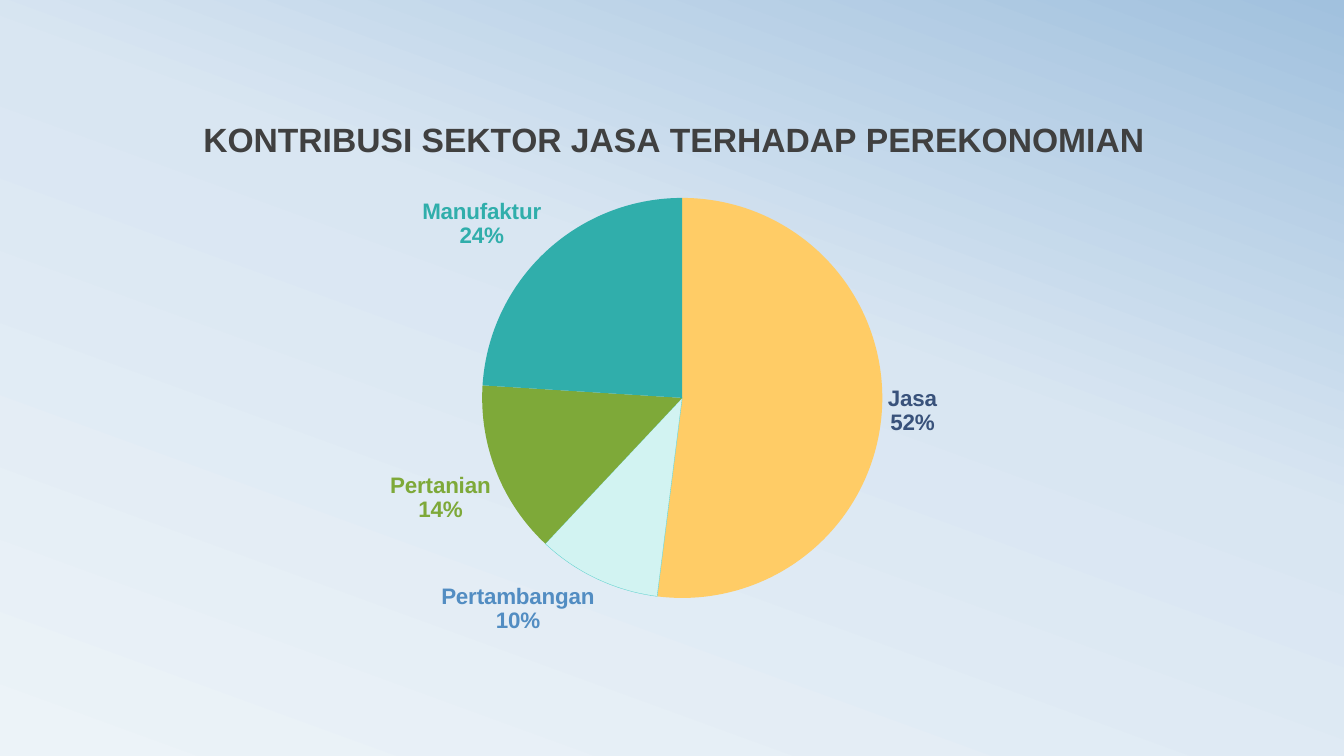
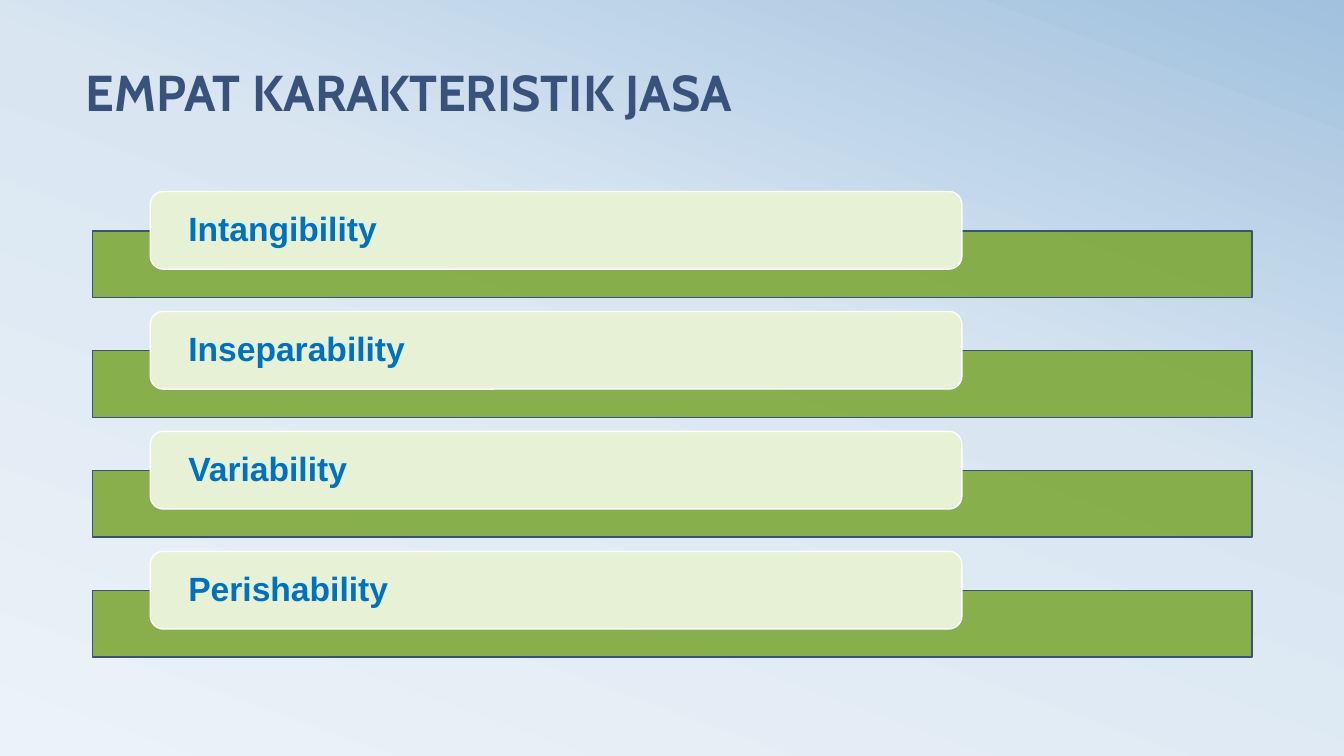
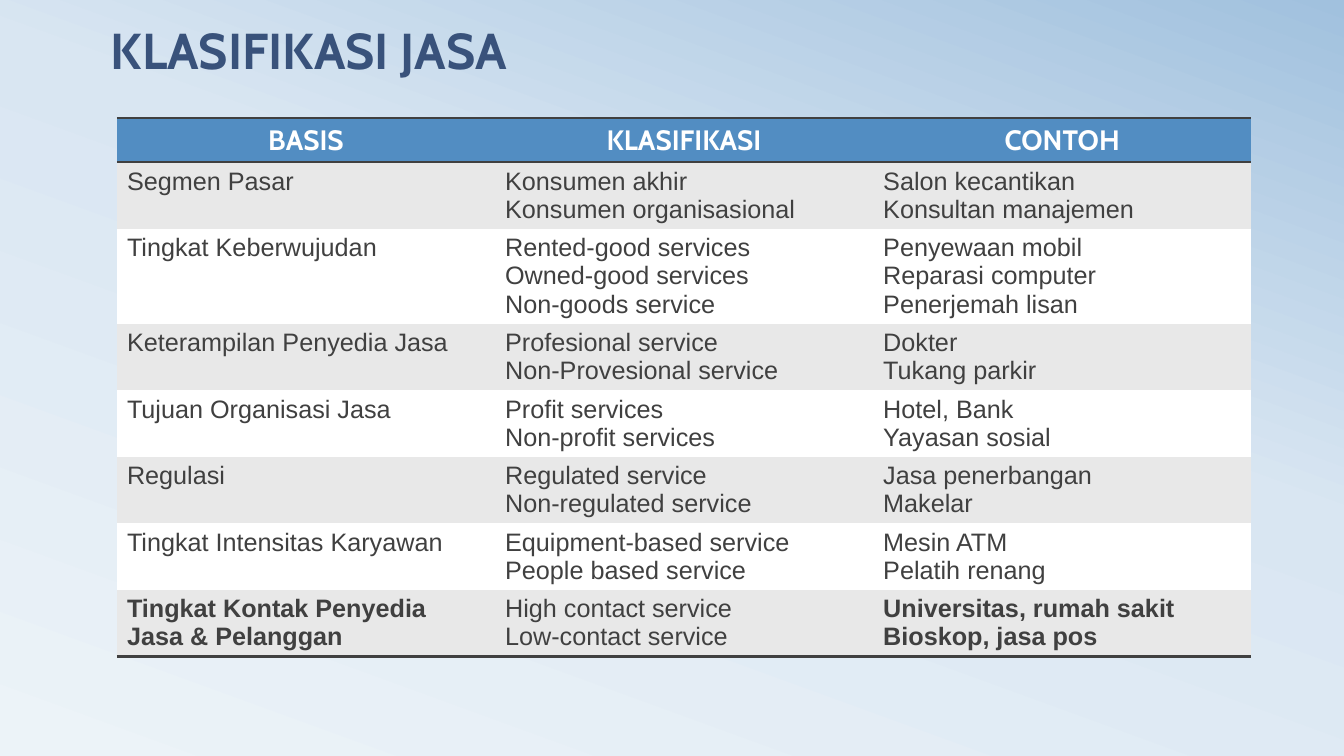
from copy import deepcopy

from lxml.etree import SubElement
from pptx import Presentation
from pptx.chart.data import CategoryChartData
from pptx.dml.color import RGBColor
from pptx.enum.chart import XL_CHART_TYPE, XL_LABEL_POSITION
from pptx.enum.shapes import MSO_SHAPE
from pptx.enum.text import MSO_ANCHOR, MSO_AUTO_SIZE, PP_ALIGN
from pptx.oxml import parse_xml
from pptx.oxml.ns import nsdecls, qn
from pptx.util import Inches, Pt

NAVY, GREEN, TEAL, BLUE = "39527B", "7EA939", "30AEAB", "528DC2"
INK, WHITE, GREY = "404040", "FFFFFF", "E8E8E8"
BACKGROUND = [(0, "ECF3F8"), (0.58, "D9E6F2"), (1, "A1C1DE")]
BACKGROUND_ANGLE = 70  # counter-clockwise degrees
NO_GRID_STYLE = "{2D5ABB26-0587-4C30-8999-92F81FD0307C}"

TITLE = dict(name="Cabin", size=36, bold=True, color=NAVY)
CHART_TITLE = dict(name="Arial", size=24, bold=True, color=INK)
CHART_LABEL = dict(name="Arial", size=16, bold=True, color=NAVY)
BAR = dict(name="Arial", size=24, bold=True, color="0070C0")
HEADER = dict(name="Cabin", size=20, bold=True, color=WHITE)
BODY = dict(name="Arial", size=18, bold=False, color=INK)

SECTOR_TITLE = "KONTRIBUSI SEKTOR JASA TERHADAP PEREKONOMIAN"
SECTORS = [  # name, percent, slice colour, label colour
    ("Jasa", 52, "FFCC66", NAVY),
    ("Pertambangan", 10, "D2F3F2", BLUE),
    ("Pertanian", 14, GREEN, GREEN),
    ("Manufaktur", 24, TEAL, TEAL),
]
OUTLINED_SECTOR, OUTLINE = "Pertambangan", "5ED2CE"

TRAITS = ["Intangibility", "Inseparability", "Variability", "Perishability"]

COLUMNS = ["BASIS", "KLASIFIKASI", "CONTOH"]
SERVICES = [
    ("Segmen Pasar", "Konsumen akhir\nKonsumen organisasional",
     "Salon kecantikan\nKonsultan manajemen"),
    ("Tingkat Keberwujudan",
     "Rented-good services\nOwned-good services\nNon-goods service",
     "Penyewaan mobil\nReparasi computer\nPenerjemah lisan"),
    ("Keterampilan Penyedia Jasa", "Profesional service\nNon-Provesional service",
     "Dokter\nTukang parkir"),
    ("Tujuan Organisasi Jasa", "Profit services\nNon-profit services",
     "Hotel, Bank\nYayasan sosial"),
    ("Regulasi", "Regulated service\nNon-regulated service",
     "Jasa penerbangan\nMakelar"),
    ("Tingkat Intensitas Karyawan", "Equipment-based service\nPeople based service",
     "Mesin ATM\nPelatih renang"),
    ("Tingkat Kontak Penyedia Jasa & Pelanggan",
     "High contact service\nLow-contact service",
     "Universitas, rumah sakit\nBioskop, jasa pos"),
]


def rgb(value):
    return RGBColor.from_string(value)


def box(*lengths):
    return [Inches(v) for v in lengths]


def set_font(font, name, size, bold, color):
    for key, value in dict(name=name, size=Pt(size), bold=bold).items():
        setattr(font, key, value)
    font.color.rgb = rgb(color)


def paint(target, color):
    target.fill.solid()
    target.fill.fore_color.rgb = rgb(color)


def set_background(master):
    fill = master.background.fill
    fill.gradient()
    fill.gradient_angle = BACKGROUND_ANGLE
    stops = next(master.element.iter(qn("a:gsLst")))
    stops.append(deepcopy(stops[0]))
    for stop, (position, color) in zip(fill.gradient_stops, BACKGROUND):
        stop.position = position
        stop.color.rgb = rgb(color)


def add_titled_slide(prs, text, at):
    slide = prs.slides.add_slide(prs.slide_layouts[5])
    title = slide.shapes.title
    title.left, title.top, title.width, title.height = box(*at)
    tf = title.text_frame
    tf.text = text
    tf.auto_size = MSO_AUTO_SIZE.NONE
    tf.vertical_anchor = MSO_ANCHOR.BOTTOM
    p = tf.paragraphs[0]
    p.alignment, p.line_spacing = PP_ALIGN.LEFT, 0.8
    set_font(p.runs[0].font, **TITLE)
    return slide


def chart_layout(inner=False, **shares):
    """Manual layout element; shares are x, y, w, h of the chart's size."""
    target = '<c:layoutTarget val="inner"/>' if inner else ""
    modes = "".join(f'<c:{k}Mode val="edge"/>' for k in "xy")
    values = "".join(f'<c:{k} val="{v}"/>' for k, v in shares.items())
    return parse_xml(f'<c:layout {nsdecls("c")}><c:manualLayout>{target}{modes}'
                     f'{values}</c:manualLayout></c:layout>')


def place(element, layout, after=None):
    for old in element.findall(qn("c:layout")):
        element.remove(old)
    if after is None:
        element.insert(0, layout)
    else:
        element.find(qn(after)).addnext(layout)


def show_name_and_percent(series):
    shown = dict(showVal=0, showCatName=1, showPercent=1)
    for key, value in shown.items():
        for flag in series.iter(qn(f"c:{key}")):
            flag.set("val", str(value))
    for flag in list(series.iter(qn("c:showBubbleSize"))):
        flag.addnext(parse_xml(f'<c:separator {nsdecls("c")}>\n</c:separator>'))


def add_sector_slide(prs):
    slide = prs.slides.add_slide(prs.slide_layouts[6])
    data = CategoryChartData()
    data.categories = [name for name, *_ in SECTORS]
    data.add_series("Series 1", [percent for _, percent, *_ in SECTORS])
    chart = slide.shapes.add_chart(
        XL_CHART_TYPE.PIE, *box(0.16, 0.83, 12.83, 5.67), data).chart
    chart.has_legend = False
    set_font(chart.font, "Cabin", 10, False, INK)

    chart.has_title = True
    tf = chart.chart_title.text_frame
    tf.text = SECTOR_TITLE
    set_font(tf.paragraphs[0].runs[0].font, **CHART_TITLE)

    plot = chart.plots[0]
    plot.vary_by_categories = True
    series = plot.series[0]
    labels = series.data_labels
    labels.number_format, labels.number_format_is_linked = "0%", False
    labels.position = XL_LABEL_POSITION.OUTSIDE_END
    set_font(labels.font, **CHART_LABEL)
    for i, (name, _, color, label_color) in enumerate(SECTORS):
        point = series.points[i]
        paint(point.format, color)
        line = point.format.line
        if name == OUTLINED_SECTOR:
            line.color.rgb, line.width = rgb(OUTLINE), Pt(0.25)
        else:
            line.fill.background()
        set_font(point.data_label.font, **{**CHART_LABEL, "color": label_color})
        point.data_label.position = XL_LABEL_POSITION.OUTSIDE_END
    show_name_and_percent(series._element)

    place(chart.chart_title._element, chart_layout(x=0.14, y=0.05), after="c:tx")
    plot_area = next(chart.element.iter(qn("c:plotArea")))
    place(plot_area, chart_layout(inner=True, x=0.36, y=0.2, w=0.31, h=0.7))


def add_box(slide, kind, at, fill, line):
    sp = slide.shapes.add_shape(kind, *box(*at))
    sp.shadow.inherit = False
    paint(sp, fill)
    sp.line.color.rgb, sp.line.width = rgb(line), Pt(1)
    return sp


def add_trait_slide(prs):
    slide = add_titled_slide(prs, "EMPAT KARAKTERISTIK JASA", (0.75, 0.67, 12, 0.58))
    top, pitch = 1.9, 1.19
    for i, trait in enumerate(TRAITS):
        y = top + i * pitch
        band = add_box(slide, MSO_SHAPE.RECTANGLE, (0.92, y + 0.39, 11.5, 0.66),
                       GREEN, NAVY)
        color = band.fill._xPr.find(qn("a:solidFill"))[0]
        SubElement(color, qn("a:alpha"), val="90000")
        label = add_box(slide, MSO_SHAPE.ROUNDED_RECTANGLE, (1.49, y, 8.05, 0.77),
                        "E6F1D5", WHITE)
        tf = label.text_frame
        tf.text = trait
        tf.vertical_anchor = MSO_ANCHOR.MIDDLE
        tf.margin_left = tf.margin_right = Inches(0.34)
        tf.margin_top = tf.margin_bottom = 0
        p = tf.paragraphs[0]
        p.alignment, p.line_spacing = PP_ALIGN.LEFT, 0.9
        set_font(p.runs[0].font, **BAR)


def add_border(cell, side):
    cell._tc.get_or_add_tcPr().append(parse_xml(
        f'<a:ln{side} {nsdecls("a")} w="{Pt(2)}"><a:solidFill>'
        f'<a:srgbClr val="{INK}"/></a:solidFill></a:ln{side}>'))


def fill_cell(cell, text, fill, font, align, borders):
    for side in borders:
        add_border(cell, side)
    paint(cell, fill)
    cell.text_frame.text = text
    for p in cell.text_frame.paragraphs:
        p.alignment = align
        set_font(p.runs[0].font, **font)


def add_service_slide(prs):
    slide = add_titled_slide(prs, "KLASIFIKASI JASA", (1, -0.33, 12, 1.17))
    rows = [COLUMNS, *SERVICES]
    last = len(rows) - 1
    table = slide.shapes.add_table(
        len(rows), len(COLUMNS), *box(1.16, 1.17, 11.25, 5.34)).table
    table._tbl.tblPr.find(qn("a:tableStyleId")).text = NO_GRID_STYLE
    table.horz_banding = False
    for column in table.columns:
        column.width = Inches(3.75)
    for r, texts in enumerate(rows):
        lines = max(text.count("\n") + 1 for text in texts)
        table.rows[r].height = Inches(0.1 + 0.28 * lines if r else 0.44)
        for c, text in enumerate(texts):
            if r == 0:
                style = (BLUE, HEADER, PP_ALIGN.CENTER, "TB")
            else:
                font = {**BODY, "bold": r == last and c != 1}
                style = (GREY if r % 2 else WHITE, font, PP_ALIGN.LEFT,
                         "B" if r == last else "")
            fill_cell(table.cell(r, c), text, *style)


def main():
    prs = Presentation()
    prs.slide_width, prs.slide_height = box(13.33, 7.5)
    set_background(prs.slide_master)
    add_sector_slide(prs)
    add_trait_slide(prs)
    add_service_slide(prs)
    prs.save("out.pptx")


if __name__ == "__main__":
    main()
